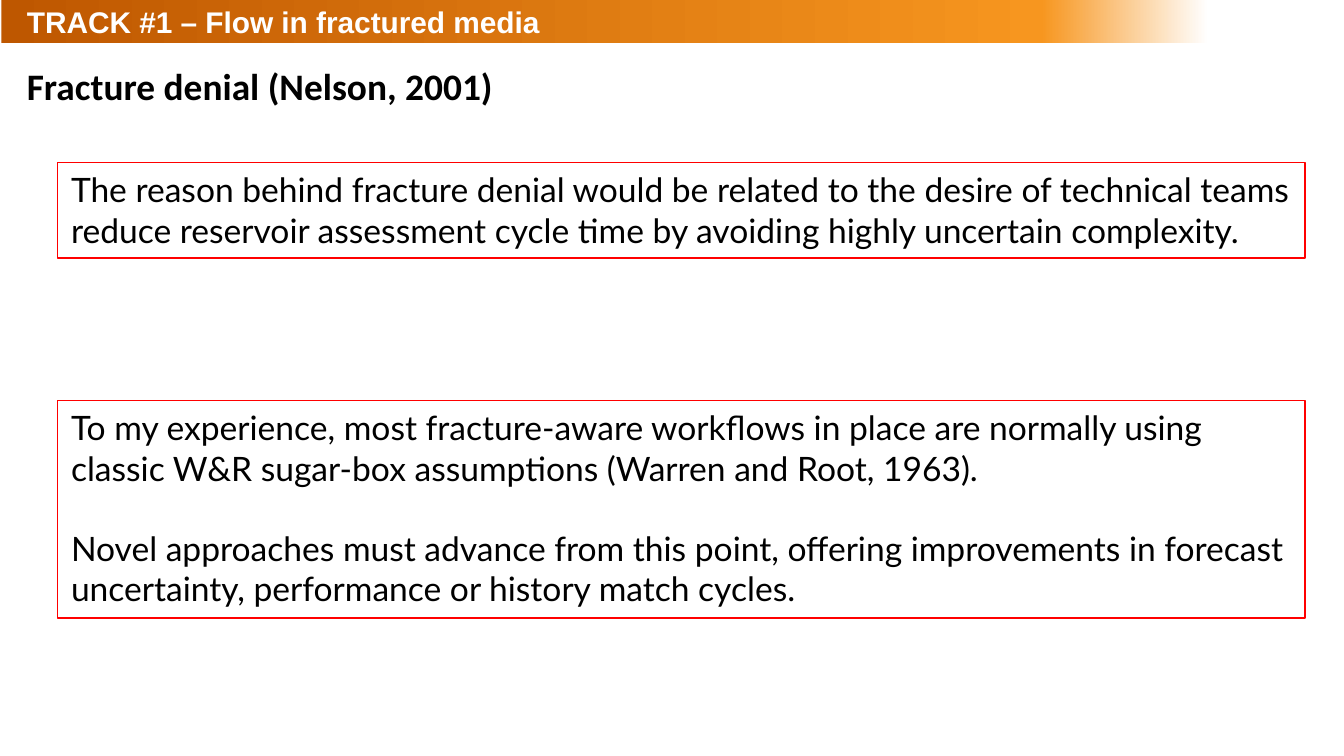
import pptx
import pptx.dml.color
import pptx.enum.shapes
import pptx.enum.text
import pptx.oxml.ns
import pptx.util
import lxml.etree
from pptx.util import Inches

DARK_ORANGE = pptx.dml.color.RGBColor(0xBE, 0x57, 0x00)
ORANGE = pptx.dml.color.RGBColor(0xF7, 0x96, 0x1F)
WHITE = pptx.dml.color.RGBColor(0xFF, 0xFF, 0xFF)
BLACK = pptx.dml.color.RGBColor(0x00, 0x00, 0x00)
RED = pptx.dml.color.RGBColor(0xFF, 0x00, 0x00)

TITLE = "TRACK #1 – Flow in fractured media"
HEADING = "Fracture denial (Nelson, 2001)"
REASON = [
    "The reason behind fracture denial would be related to the desire of technical teams "
    "reduce reservoir assessment cycle time by avoiding highly uncertain complexity.",
]
EXPERIENCE = [
    "To my experience, most fracture-aware workflows in place are normally using "
    "classic W&R sugar-box assumptions (Warren and Root, 1963).",
    "Novel approaches must advance from this point, offering improvements in forecast "
    "uncertainty, performance or history match cycles.",
]


def place(shape, left, top, width, height):
    shape.left, shape.top = Inches(left), Inches(top)
    shape.width, shape.height = Inches(width), Inches(height)


def format_text(para, font_name, size, color, bold=False):
    para.alignment = pptx.enum.text.PP_ALIGN.LEFT
    for span in para.runs:
        span.font.name = font_name
        span.font.size = pptx.util.Pt(size)
        span.font.color.rgb = color
        span.font.bold = bold


def add_rectangle(page, left, top, width, height):
    box = page.shapes.add_shape(
        pptx.enum.shapes.MSO_SHAPE.RECTANGLE,
        Inches(left), Inches(top), Inches(width), Inches(height))
    box.shadow.inherit = False
    return box


def add_header(page, left, top, width, height):
    title = page.shapes.title
    fade_width = 1.24
    overlap = 0.01
    solid_width = width - fade_width
    bands = [
        (left, solid_width + overlap, DARK_ORANGE, ORANGE),
        (left + solid_width, fade_width, ORANGE, WHITE),
    ]
    for band_left, band_width, start, end in bands:
        band = add_rectangle(page, band_left, top, band_width, height)
        band.line.fill.background()
        band.fill.gradient()
        band.fill.gradient_angle = 0
        for stop, color in zip(band.fill.gradient_stops, (start, end)):
            stop.color.rgb = color
        title.element.addprevious(band.element)

    place(title, left + 0.09, top + 0.01, 8.62, height - 0.03)
    frame = title.text_frame
    frame.text = TITLE
    frame.auto_size = pptx.enum.text.MSO_AUTO_SIZE.NONE
    frame.vertical_anchor = pptx.enum.text.MSO_ANCHOR.TOP
    frame.paragraphs[0].line_spacing = 0.9
    format_text(frame.paragraphs[0], "Arial", 16, WHITE, bold=True)


def add_heading(page, left, top, width, height):
    body = page.placeholders[1]
    place(body, left, top, width, height)
    frame = body.text_frame
    frame.text = HEADING
    frame.auto_size = pptx.enum.text.MSO_AUTO_SIZE.NONE
    para = frame.paragraphs[0]
    para.space_before = pptx.util.Pt(12)
    format_text(para, "Calibri", 20, BLACK, bold=True)
    properties = para._p.get_or_add_pPr()
    properties.set("marL", "0")
    properties.set("indent", "0")
    lxml.etree.SubElement(properties, pptx.oxml.ns.qn("a:buNone"))


def add_statement(page, texts, left, top, width, height):
    box = add_rectangle(page, left, top, width, height)
    box.fill.background()
    box.line.color.rgb = RED
    box.line.width = pptx.util.Pt(0.75)
    frame = box.text_frame
    frame.word_wrap = True
    frame.auto_size = pptx.enum.text.MSO_AUTO_SIZE.SHAPE_TO_FIT_TEXT
    frame.vertical_anchor = pptx.enum.text.MSO_ANCHOR.TOP
    for index, text in enumerate(texts):
        para = frame.add_paragraph() if index else frame.paragraphs[0]
        para.text = text
        para.space_before = pptx.util.Pt(21.6 if index else 0)
        format_text(para, "Lato", 18, BLACK)


def main():
    deck = pptx.Presentation()
    deck.slide_width = Inches(10)
    deck.slide_height = Inches(10 * 9 / 16)
    page = deck.slides.add_slide(deck.slide_layouts[1])
    add_header(page, 0.01, 0, 8.98, 0.32)
    add_heading(page, 0.1, 0.42, 9.8, 0.63)
    add_statement(page, REASON, 0.43, 1.21, 9.28, 0.71)
    add_statement(page, EXPERIENCE, 0.43, 2.98, 9.28, 1.62)
    deck.save("out.pptx")


if __name__ == "__main__":
    main()
